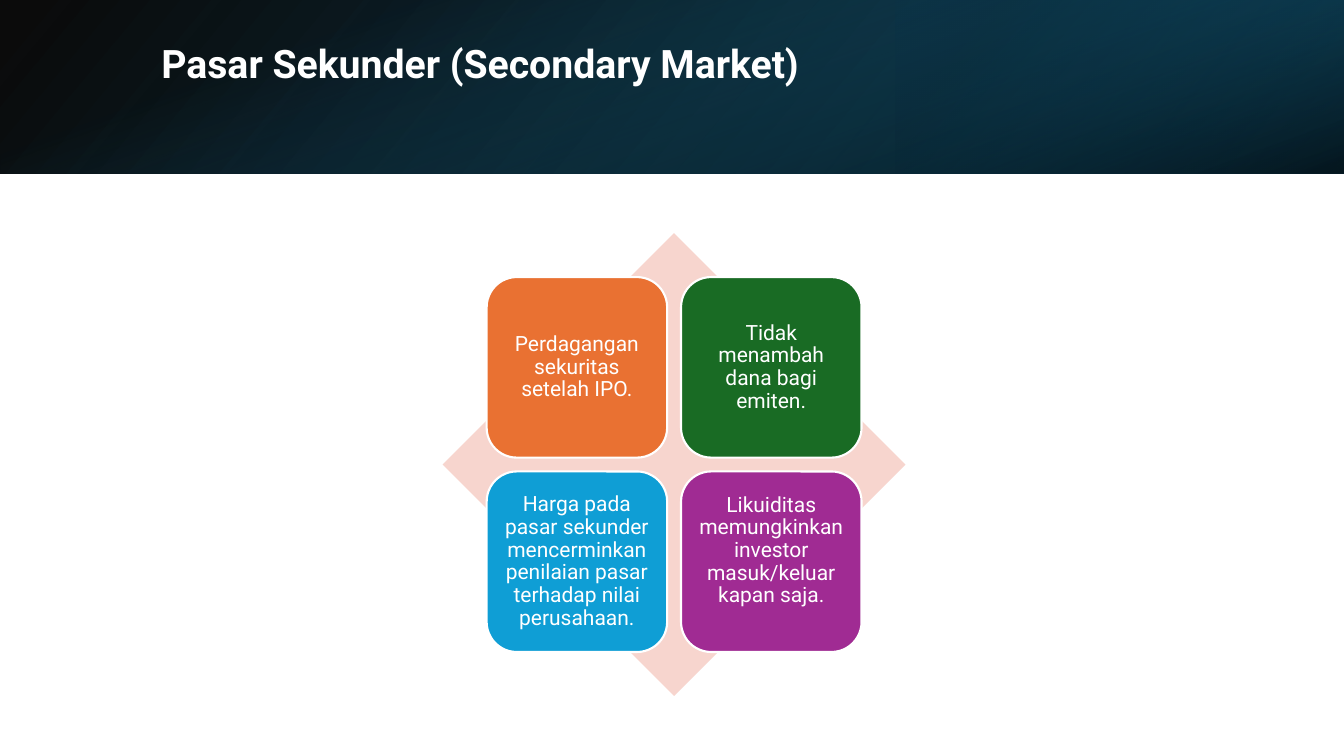
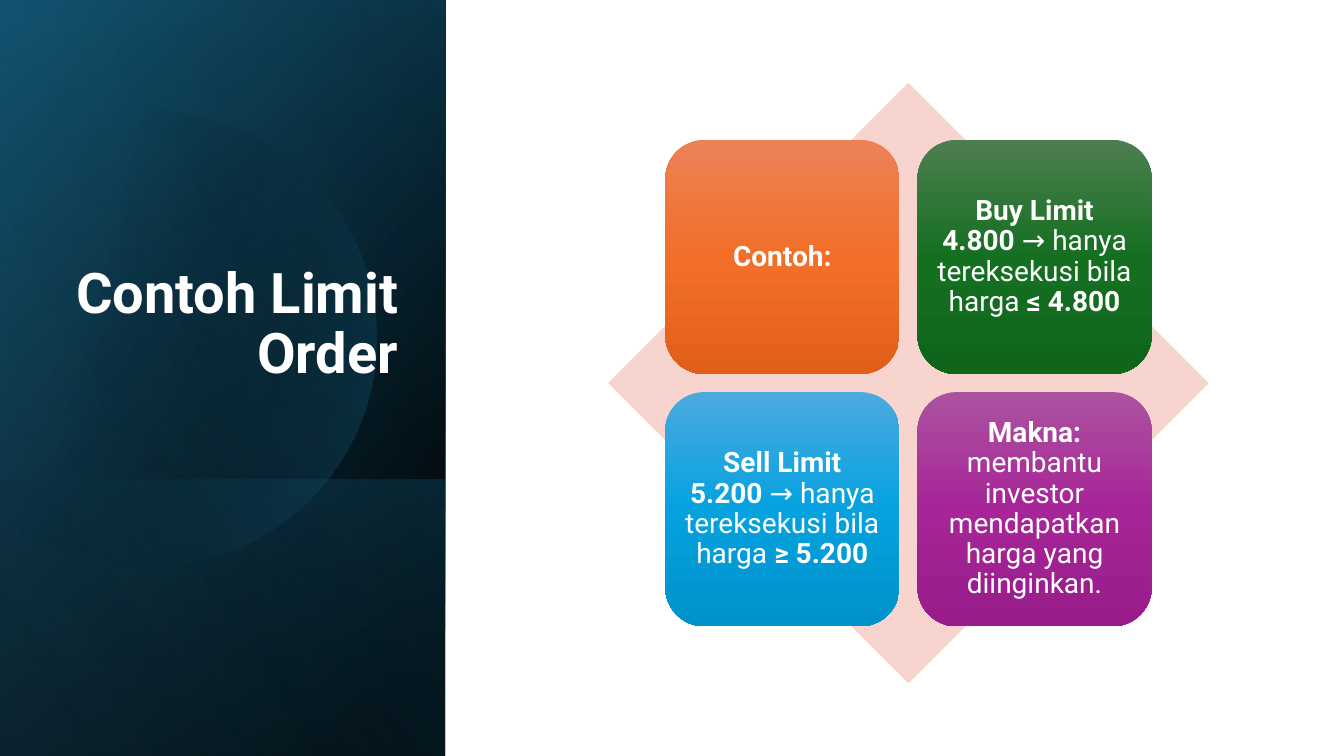
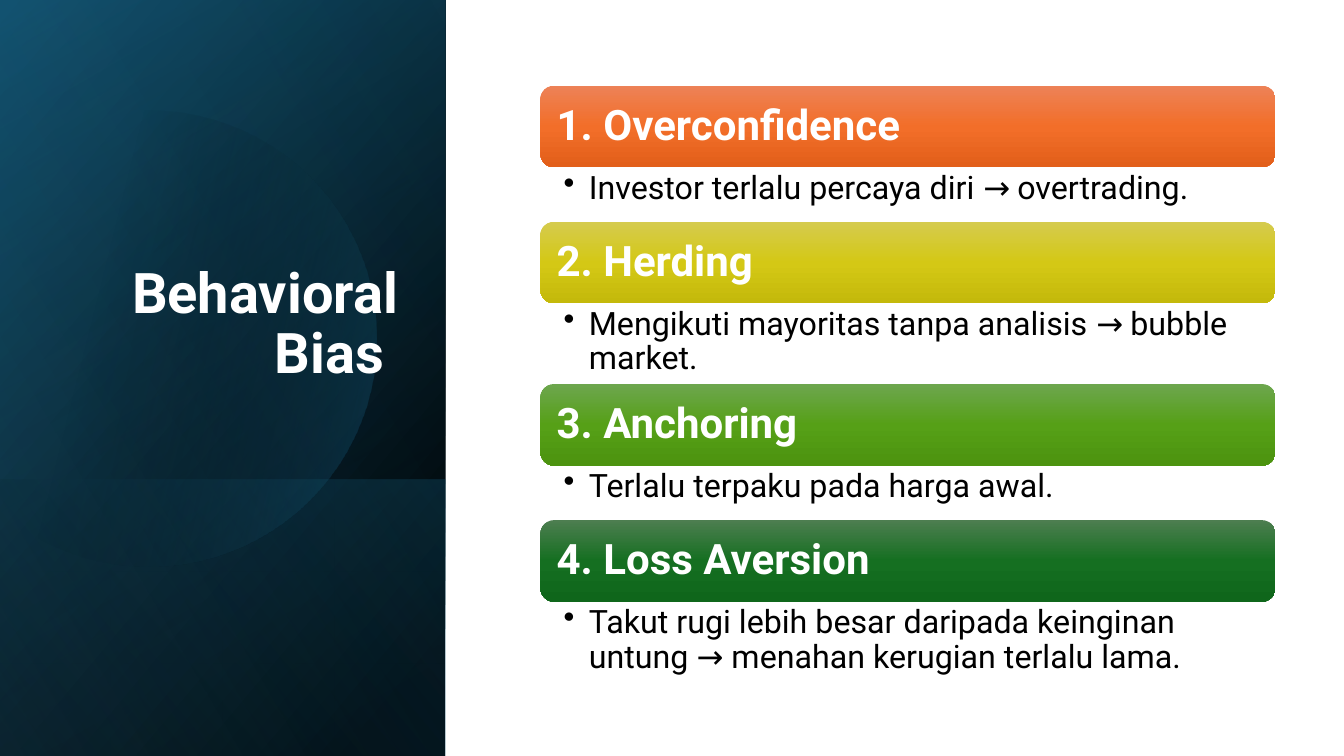
import math
from dataclasses import dataclass

import lxml.etree
import pptx
import pptx.dml.color
import pptx.enum.shapes
import pptx.enum.text
import pptx.oxml.ns
import pptx.util

SHAPE = pptx.enum.shapes.MSO_SHAPE
ALIGN = pptx.enum.text.PP_ALIGN
ANCHOR = pptx.enum.text.MSO_ANCHOR
qn = pptx.oxml.ns.qn


@dataclass(frozen=True)
class Theme:
    """Colours, gradients and type sizes used by all slides."""
    font: str = "Roboto"
    white: str = "FFFFFF"
    black: str = "000000"
    navy: str = "104862"
    deep: str = "0B3041"
    teal: str = "156082"
    sky: str = "46B1E1"
    blush: str = "F7D5CE"
    flat_cards: tuple = ("E97132", "196B24", "0F9ED5", "A02B93")
    orange: tuple = ("ED8257", "F26E29", "E25F1A")
    yellow: tuple = ("D5CB4E", "D4C815", "C4B90B")
    lime: tuple = ("6DA64E", "56A017", "4C930F")
    green: tuple = ("4D7E50", "156F21", "0F661B")
    blue: tuple = ("4CAADF", "05A2DF", "0092CB")
    purple: tuple = ("AC53A0", "A62598", "991C8B")
    band_title: int = 28
    panel_title: int = 40
    small_card: int = 15
    large_card: int = 20
    heading: int = 30
    bullet: int = 23


THEME = Theme()
COLUMNS, ROWS = 160, 90
WIDTH, HEIGHT = pptx.util.Inches(13.33), pptx.util.Inches(7.5)
BAND_ROWS = 20.64
PANEL_COLUMNS = 53


def rgb(colour):
    return pptx.dml.color.RGBColor.from_string(colour)


def write(frame, runs, *, size, colour=THEME.white, align=ALIGN.LEFT, anchor=ANCHOR.MIDDLE,
          insets=(0.1, 0.05, 0.1, 0.05), bullet=None):
    """Fill a frame with one paragraph of (text, bold) runs."""
    frame.word_wrap = True
    frame.auto_size = pptx.enum.text.MSO_AUTO_SIZE.NONE
    frame.vertical_anchor = anchor
    (frame.margin_left, frame.margin_top,
     frame.margin_right, frame.margin_bottom) = map(pptx.util.Inches, insets)
    paragraph = frame.paragraphs[0]
    paragraph.alignment = align
    paragraph.line_spacing = 0.9
    if bullet:
        properties = paragraph._p.get_or_add_pPr()
        indent = pptx.util.Inches(0.25)
        properties.set("marL", str(indent))
        properties.set("indent", str(-indent))
        lxml.etree.SubElement(properties, qn("a:buChar")).set("char", bullet)
    for text, bold in runs:
        run = paragraph.add_run()
        run.text = text
        run.font.name = THEME.font
        run.font.size = pptx.util.Pt(size)
        run.font.bold = bold
        run.font.color.rgb = rgb(colour)


def fill_gradient(shape, stops, angle):
    """Give a shape a linear gradient of (position, colour, opacity) stops."""
    shape.fill.background()
    gradient = lxml.etree.Element(qn("a:gradFill"), rotWithShape="1")
    stop_list = lxml.etree.SubElement(gradient, qn("a:gsLst"))
    for position, colour, opacity in stops:
        stop = lxml.etree.SubElement(stop_list, qn("a:gs"), pos=str(position * 1000))
        value = lxml.etree.SubElement(stop, qn("a:srgbClr"), val=colour)
        if opacity < 100:
            lxml.etree.SubElement(value, qn("a:alpha"), val=str(opacity * 1000))
    lxml.etree.SubElement(gradient, qn("a:lin"), ang=str(angle * 60000), scaled="0")
    properties = shape.element.spPr
    properties.replace(properties.find(qn("a:noFill")), gradient)


class Deck:
    """Hold the presentation, its style and the current slide."""

    def __init__(self):
        self.presentation = pptx.Presentation()
        self.presentation.slide_width = WIDTH
        self.presentation.slide_height = HEIGHT
        self.slide = None

    def x(self, columns):
        return round(WIDTH * columns / COLUMNS)

    def y(self, rows):
        return round(HEIGHT * rows / ROWS)

    def box(self, left, top, width, height):
        return self.x(left), self.y(top), self.x(width), self.y(height)

    def new_slide(self):
        self.slide = self.presentation.slides.add_slide(self.presentation.slide_layouts[5])

    def title(self, text, box, **style):
        title = self.slide.shapes.title
        title.left, title.top, title.width, title.height = self.box(*box)
        write(title.text_frame, [(text, True)], **style)
        self.slide.shapes.element.append(title.element)

    def shape(self, kind, box, fill, outline=None):
        """Draw a preset shape with a plain colour or a three-tone shade."""
        shape = self.slide.shapes.add_shape(kind, *self.box(*box))
        shape.shadow.inherit = False
        if isinstance(fill, str):
            shape.fill.solid()
            shape.fill.fore_color.rgb = rgb(fill)
        else:
            fill_gradient(shape, [(50 * i, colour, 100) for i, colour in enumerate(fill)], 90)
        if outline:
            shape.line.color.rgb = rgb(outline)
            shape.line.width = pptx.util.Pt(1.5)
        else:
            shape.line.fill.background()
        return shape

    def wash(self, box, stops, angle, rotation=0, flip=True):
        """Cover a box with a rotated, see-through gradient rectangle."""
        shape = self.shape(SHAPE.RECTANGLE, box, THEME.navy)
        if rotation == 90:
            middle_x = shape.left + shape.width / 2
            middle_y = shape.top + shape.height / 2
            shape.width, shape.height = shape.height, shape.width
            shape.left = round(middle_x - shape.width / 2)
            shape.top = round(middle_y - shape.height / 2)
        shape.rotation = rotation
        if flip:
            shape.element.spPr.xfrm.set("flipH", "1")
        fill_gradient(shape, stops, angle)

    def disc(self, middle_x, middle_y, radius, half_angle, stops, angle):
        """Draw a disc cut off by a vertical chord on its left."""
        points = []
        for step in range(-60, 61):
            turn = math.radians(half_angle * step / 60)
            points.append((self.x(middle_x + radius * math.cos(turn)),
                           self.y(middle_y + radius * math.sin(turn))))
        builder = self.slide.shapes.build_freeform(*points[0])
        builder.add_line_segments(points[1:], close=True)
        shape = builder.convert_to_shape()
        shape.shadow.inherit = False
        shape.line.fill.background()
        fill_gradient(shape, stops, angle)

    def band_slide(self, title):
        """Start a slide with a title band across its top."""
        self.new_slide()
        band = (0, 0, COLUMNS, BAND_ROWS)
        third = COLUMNS / 3
        self.wash(band, [(0, THEME.black, 96), (100, THEME.navy, 100)], 140)
        self.wash((COLUMNS - third, 0, third, BAND_ROWS),
                  [(19, THEME.deep, 68), (100, THEME.teal, 79)], 320, rotation=180)
        self.wash(band, [(23, THEME.teal, 0), (99, THEME.black, 74)], 340,
                  rotation=90, flip=False)
        self.title(title, (18, 4.56, 131.8, 11.52), size=THEME.band_title,
                   insets=(0.1, 0.05, 0.1, 0.46))

    def panel_slide(self, title):
        """Start a slide with a title panel down its left side."""
        self.new_slide()
        panel = (0, 0, PANEL_COLUMNS, ROWS)
        foot = (0, 57.12, PANEL_COLUMNS, 32.88)
        self.wash(panel, [(8, THEME.black, 100), (100, THEME.navy, 100)], 50, 90)
        self.wash(panel, [(0, THEME.black, 0), (99, THEME.teal, 46)], 30, 90)
        self.wash(foot, [(2, THEME.teal, 29), (100, THEME.black, 30)], 130, 90)
        self.disc(17.64, 40.32, 27.12, 130.5, [(29, THEME.black, 0), (100, THEME.teal, 43)], 14)
        self.wash(panel, [(0, THEME.black, 0), (99, THEME.sky, 11)], 120, 90)
        self.title(title, (7.7, 22.1, 40.9, 31.4), size=THEME.panel_title, align=ALIGN.RIGHT,
                   anchor=ANCHOR.BOTTOM, insets=(0.1, 0.05, 0.1, 0.63))

    def matrix(self, left, top, side, cards, size, inset, outline=None):
        """Set four (runs, fill, extra bottom inset) cards on a diamond."""
        self.shape(SHAPE.DIAMOND, (left, top, side, side), THEME.blush)
        card_side = 0.39 * side
        offsets = (0.095 * side, 0.515 * side)
        for index, (runs, fill, lift) in enumerate(cards):
            row, column = divmod(index, 2)
            box = (left + offsets[column], top + offsets[row], card_side, card_side)
            card = self.shape(SHAPE.ROUNDED_RECTANGLE, box, fill, outline)
            write(card.text_frame, runs, size=size, align=ALIGN.CENTER,
                  insets=(inset, inset, inset, inset + lift))

    def sections(self, left, top, width, items):
        """Stack heading bars, each followed by its bullet."""
        bar_rows = 9.72
        for heading, text, fill, text_rows in items:
            bar = self.shape(SHAPE.ROUNDED_RECTANGLE, (left, top, width, bar_rows), fill)
            write(bar.text_frame, [(heading, True)], size=THEME.heading, insets=(0.12,) * 4)
            top += bar_rows
            box = self.slide.shapes.add_textbox(*self.box(left, top, width, text_rows))
            write(box.text_frame, [(text, False)], size=THEME.bullet, colour=THEME.black,
                  anchor=ANCHOR.TOP, insets=(0.23, 0.04, 0.23, 0.04), bullet="•")
            top += text_rows


def main():
    deck = Deck()

    deck.band_slide("Pasar Sekunder (Secondary Market)")
    points = (
        ("Perdagangan sekuritas setelah IPO.", 0),
        ("Tidak menambah dana bagi emiten.", 0),
        ("Harga pada pasar sekunder mencerminkan penilaian pasar terhadap nilai perusahaan.", 0),
        ("Likuiditas memungkinkan investor masuk/keluar kapan saja.", 0.22),
    )
    cards = [([(text, False)], fill, lift)
             for (text, lift), fill in zip(points, THEME.flat_cards)]
    deck.matrix(52.7, 27.75, 55.1, cards, THEME.small_card, 0.06, outline=THEME.white)

    deck.panel_slide("Contoh Limit Order")
    condition = (" → hanya tereksekusi bila harga ", False)
    cards = [
        ([("Contoh:", True)], THEME.orange, 0),
        ([("Buy Limit 4.800", True), condition, ("≤ 4.800", True)], THEME.green, 0),
        ([("Sell Limit 5.200", True), condition, ("≥ 5.200", True)], THEME.blue, 0),
        ([("Makna:", True), (" membantu investor mendapatkan harga yang diinginkan.", False)],
         THEME.purple, 0),
    ]
    deck.matrix(72.4, 9.86, 71.5, cards, THEME.large_card, 0.08)

    deck.panel_slide("Behavioral Bias ")
    one_line, two_lines = 6.48, 9.6
    deck.sections(64.35, 10.2, 87.5, (
        ("1. Overconfidence", "Investor terlalu percaya diri → overtrading.",
         THEME.orange, one_line),
        ("2. Herding", "Mengikuti mayoritas tanpa analisis → bubble market.",
         THEME.yellow, two_lines),
        ("3. Anchoring", "Terlalu terpaku pada harga awal.", THEME.lime, one_line),
        ("4. Loss Aversion",
         "Takut rugi lebih besar daripada keinginan untung → menahan kerugian terlalu lama.",
         THEME.green, two_lines),
    ))

    deck.presentation.save("out.pptx")


if __name__ == "__main__":
    main()
